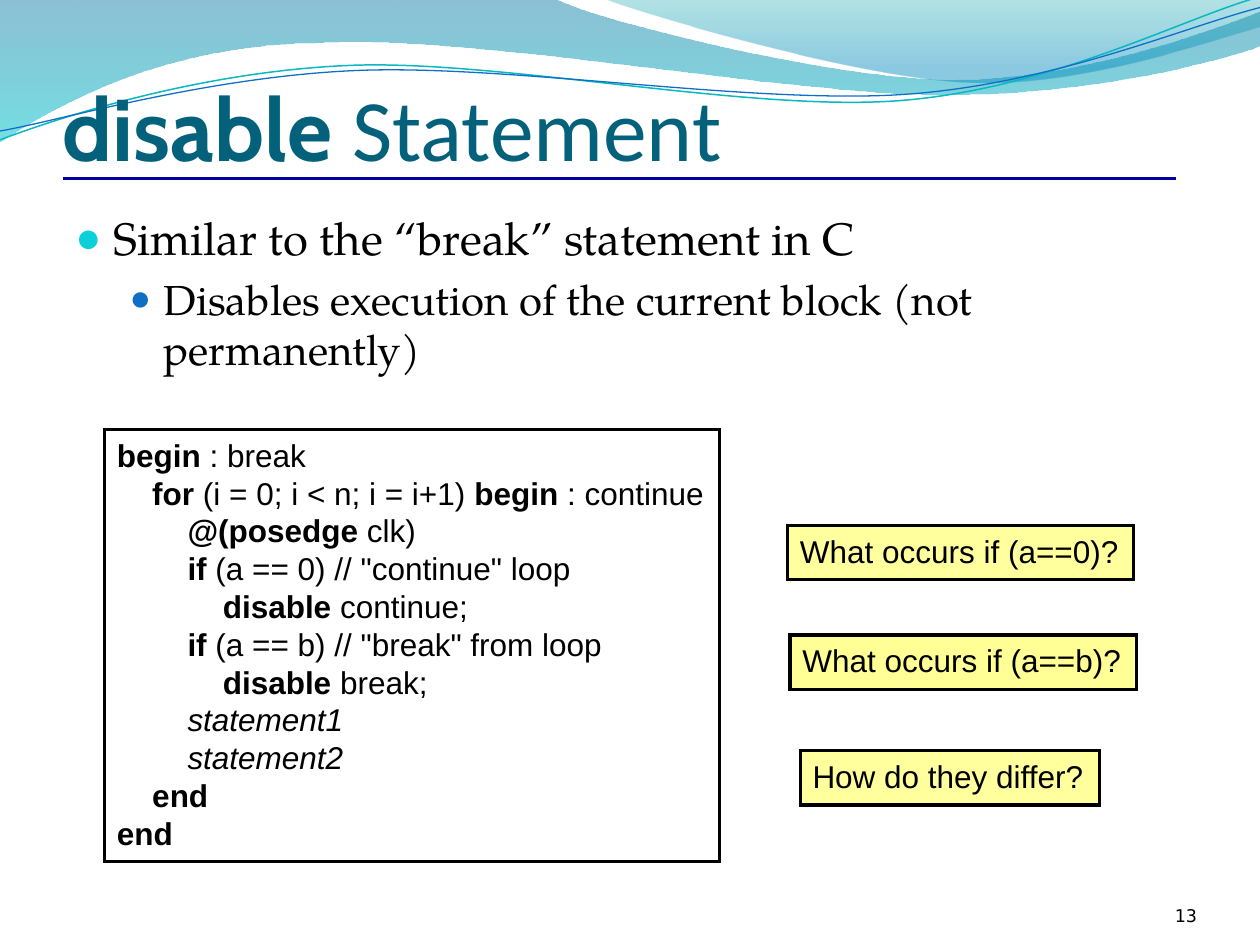
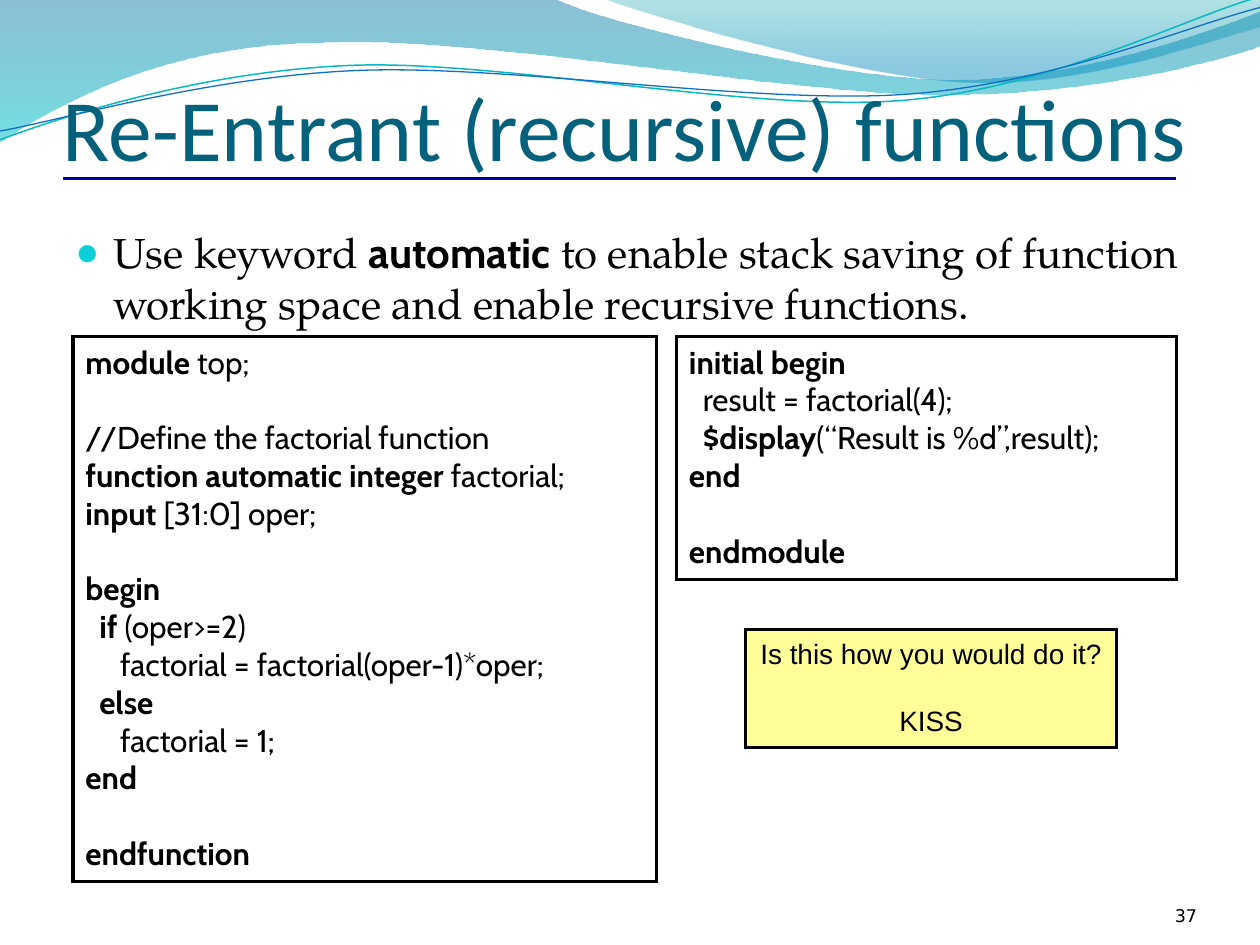
import pptx
import pptx.util
import pptx.dml.color
import pptx.enum.shapes
import pptx.enum.text
import pptx.oxml
import pptx.oxml.ns
from lxml import etree

Inches, Pt = pptx.util.Inches, pptx.util.Pt
ALIGN, ANCHOR = pptx.enum.text.PP_ALIGN, pptx.enum.text.MSO_ANCHOR
qn = pptx.oxml.ns.qn

# Shared style
BLACK, TITLE, RULE, YELLOW = "000000", "04617B", "0000A0", "FFFF00"
SERIF, SANS, CODE, HEAD, NUMBER = (
    "TeX Gyre Pagella", "Arial", "Cabin", "Calibri", "DejaVu Sans")
BULLETS = [  # left margin, hanging indent, colour, size in percent
    (0.3, 0.3, "0BD0D9", 95),
    (0.7, 0.27, "0F6FC6", 85),
]

# Waves at the top: start point, then cubic curves (6 numbers) or lines (2)
BANDS = [
    {"stops": [(0, "0074A1", 45), (1, "00C6CF", 55)], "start": (0, -0.01),
     "steps": [(4.4, -0.01), (4.76, 0.17, 6.64, 0.63, 7.58, 0.63),
               (8.53, 0.63, 9.58, 0.26, 10, 0.09), (10.01, 0.36),
               (9.83, 0.44, 8.7, 0.76, 7.46, 0.75),
               (6.22, 0.75, 3.82, 0.28, 2.57, 0.34),
               (1.29, 0.35, 0.46, 0.83, -0.01, 1.13), (0, -0.01)]},
    {"stops": [(0, "00A1A9", 30), (0.8, "008BBF", 45)], "start": (4.79, -0.01),
     "steps": [(5.09, 0.11, 6.82, 0.62, 7.69, 0.65),
               (8.56, 0.69, 9.61, 0.32, 10, 0.21), (10, 0), (4.79, -0.01)]},
    {"line": ("0AB8BF", 0.85), "start": (0, 1.11),
     "steps": [(0.48, 0.93, 1.58, 0.57, 2.77, 0.52),
               (3.95, 0.47, 5.93, 0.89, 7.13, 0.8),
               (8.33, 0.71, 9.38, 0.15, 9.98, -0.02)]},
    {"line": ("0F6FC6", 0.75), "start": (0, 1.04),
     "steps": [(0.47, 0.96, 1.64, 0.61, 2.83, 0.56),
               (4.03, 0.51, 5.97, 0.83, 7.17, 0.75),
               (8.36, 0.67, 9.41, 0.21, 10, 0.06)]},
]

# Content: "|" switches bold on and off, a leading "~" sets italics.
# Code lines are (indent level, text); None leaves one line free.
SLIDES = [
    {"title": "|disable| Statement", "title_bold": CODE, "number": "13",
     "body_at": (0.5, 1.62, 9, 1.08),
     "body": [(0, 26, "Similar to the “break” statement in C"),
              (1, 24, "Disables execution of the current block "
                      "(not permanently)")],
     "boxes": [
         {"at": (0.83, 3.41, 4.88, 3.43), "font": SANS, "tab": 0.28, "lines": [
             (0, "|begin |: break"),
             (1, "|for |(i = 0; i < n; i = i+1) |begin |: continue"),
             (2, "|@(posedge |clk)"),
             (2, "|if |(a == 0) // \"continue\" loop"),
             (3, "|disable |continue;"),
             (2, "|if |(a == b) // \"break\" from loop"),
             (3, "|disable |break;"),
             (2, "~statement1"),
             (2, "~statement2"),
             (1, "|end"),
             (0, "|end")]},
         {"at": (6.25, 4.17, 2.75, 0.43), "fill": (YELLOW, 38),
          "lines": [(0, "What occurs if (a==0)?")]},
         {"at": (6.27, 5.04, 2.75, 0.43), "fill": (YELLOW, 41),
          "lines": [(0, "What occurs if (a==b)?")]},
         {"at": (6.35, 5.96, 2.38, 0.43), "fill": (YELLOW, 38),
          "lines": [(0, "How do they differ?")]}]},
    {"title": "Re-Entrant (recursive) functions", "number": "37",
     "body_at": (0.5, 1.75, 9, 0.92),
     "body": [(0, 24, "Use keyword |automatic| to enable stack saving of "
                      "function working space and enable recursive "
                      "functions.")],
     "boxes": [
         {"at": (0.58, 2.67, 4.63, 4.33), "font": CODE, "tab": 0.11, "lines": [
             (0, "|module| top;"),
             None,
             (0, "//Define the factorial function"),
             (0, "|function automatic integer| factorial;"),
             (0, "|input| [31:0] oper;"),
             None,
             (0, "|begin"),
             (1, "|if| (oper>=2)"),
             (2.5, "factorial = factorial(oper-1)*oper;"),
             (1, "|else"),
             (2.5, "factorial = 1;"),
             (0, "|end"),
             None,
             (0, "|endfunction")]},
         {"at": (5.37, 2.67, 3.97, 1.93), "font": CODE, "tab": 0.11, "lines": [
             (0, "|initial begin"),
             (1, "result = factorial(4);"),
             (1, "|$display|(“Result is %d”,result);"),
             (0, "|end"),
             None,
             (0, "|endmodule")]},
         {"at": (5.92, 5, 2.94, 0.93), "fill": ("FFFF99", 100), "size": 16,
          "align": ALIGN.CENTER,
          "lines": [(0, "Is this how you would do it?"), None, (0, "KISS")]}]},
]


def rgb(color):
    return pptx.dml.color.RGBColor.from_string(color)


def sub(parent, tag, **attrs):
    return etree.SubElement(parent, qn(tag), attrs)


def set_alpha(parent, percent):
    """Make the colour inside a fill or gradient stop partly transparent."""
    if percent < 100:
        clr = parent.find(".//" + qn("a:srgbClr"))
        sub(clr, "a:alpha", val=str(percent * 1000))


def add_runs(p, text, font, size, color=BLACK, bold_font=None):
    italic = text.startswith("~")
    for i, part in enumerate(text.lstrip("~").split("|")):
        if part:
            r = p.add_run()
            r.text = part
            r.font.size = Pt(size)
            r.font.bold = i % 2 == 1
            r.font.italic = italic
            r.font.name = bold_font if bold_font and i % 2 else font
            r.font.color.rgb = rgb(color)


def paragraphs(tf):
    """Yield the first paragraph of a frame, then new ones."""
    yield tf.paragraphs[0]
    while True:
        yield tf.add_paragraph()


def text_frame(s, at, anchor=ANCHOR.TOP, insets=None):
    tf = s.shapes.add_textbox(*map(Inches, at)).text_frame
    tf.word_wrap = True
    tf.vertical_anchor = anchor
    if insets:
        (tf.margin_left, tf.margin_top,
         tf.margin_right, tf.margin_bottom) = map(Inches, insets)
    return tf


def add_curves(s, start, steps, close):
    """Build a freeform through the end points, then bend its segments."""
    fb = s.shapes.build_freeform(*map(Inches, start))
    fb.add_line_segments([tuple(map(Inches, step[-2:])) for step in steps],
                         close=close)
    sp = fb.convert_to_shape()
    origin = (sp.left, sp.top)
    segments = sp._element.spPr.findall(".//" + qn("a:lnTo"))
    for seg, step in zip(segments, steps):
        if len(step) == 6:
            curve = etree.Element(qn("a:cubicBezTo"))
            for i in (0, 2, 4):
                x, y = (Inches(v) - o for v, o in zip(step[i:i + 2], origin))
                sub(curve, "a:pt", x=str(x), y=str(y))
            seg.getparent().replace(seg, curve)
    return sp


def add_band(s, band):
    sp = add_curves(s, band["start"], band["steps"], "stops" in band)
    sp.shadow.inherit = False
    if "line" in band:
        color, width = band["line"]
        sp.fill.background()
        sp.line.color.rgb = rgb(color)
        sp.line.width = Pt(width)
        return
    sp.line.fill.background()
    sp.fill.gradient()
    sp.fill.gradient_angle = 270
    stops = sp.fill.gradient_stops
    gs = sp._element.spPr.findall(".//" + qn("a:gs"))
    for stop, el, (pos, color, alpha) in zip(stops, gs, band["stops"]):
        stop.position = pos
        stop.color.rgb = rgb(color)
        set_alpha(el, alpha)


def add_rule(s):
    line = s.shapes.add_connector(pptx.enum.shapes.MSO_CONNECTOR.STRAIGHT,
                                  *map(Inches, (0.5, 1.42, 9.33, 1.42)))
    line.line.color.rgb = rgb(RULE)
    line.line.width = Pt(1.75)
    sub(line._element.spPr, "a:effectLst")


def add_body(s, at, items):
    tf = text_frame(s, at)
    for (level, size, text), p in zip(items, paragraphs(tf)):
        left, hang, color, percent = BULLETS[level]
        add_runs(p, text, SERIF, size, bold_font=CODE)
        p.level = level
        p.space_before = Pt(size * 0.2)
        pPr = p._p.get_or_add_pPr()
        pPr.set("marL", str(Inches(left)))
        pPr.set("indent", str(-Inches(hang)))
        sub(sub(pPr, "a:buClr"), "a:srgbClr", val=color)
        sub(pPr, "a:buSzPct", val=str(percent * 1000))
        sub(pPr, "a:buFont", typeface=SANS)
        sub(pPr, "a:buChar", char="●")


def add_box(s, at, lines, font=SANS, size=18, tab=0, fill=None,
            align=ALIGN.LEFT):
    sp = s.shapes.add_shape(pptx.enum.shapes.MSO_SHAPE.RECTANGLE,
                            *map(Inches, at))
    sp.shadow.inherit = False
    sp.line.color.rgb = rgb(BLACK)
    sp.line.width = Pt(1.75)
    sub(sp._element.spPr.find(qn("a:ln")), "a:miter", lim="800000")
    if fill:
        sp.fill.solid()
        sp.fill.fore_color.rgb = rgb(fill[0])
        set_alpha(sp._element.spPr, fill[1])
    else:
        sp.fill.background()
    tf = sp.text_frame
    tf.word_wrap = False
    tf.auto_size = pptx.enum.text.MSO_AUTO_SIZE.SHAPE_TO_FIT_TEXT
    tf.vertical_anchor = ANCHOR.TOP
    new, gap = paragraphs(tf), 0
    for line in lines:
        if line is None:
            gap = size * 1.2
            continue
        p = next(new)
        p.alignment = align
        p.space_before = Pt(gap)
        p._p.get_or_add_pPr().set("marL", str(Inches(line[0] * tab)))
        add_runs(p, line[1], font, size)
        gap = 0


prs = pptx.Presentation()
prs.slide_width, prs.slide_height = Inches(10), Inches(7.5)

for data in SLIDES:
    s = prs.slides.add_slide(prs.slide_layouts[6])
    # Shared decoration
    for band in BANDS:
        add_band(s, band)
    add_rule(s)
    # Title, body and slide number
    tf = text_frame(s, (0.5, 0.17, 9, 1.25), ANCHOR.BOTTOM, (0, 0.05, 0, 0))
    add_runs(tf.paragraphs[0], data["title"], HEAD, 50, TITLE,
             data.get("title_bold"))
    add_body(s, data["body_at"], data["body"])
    tf = text_frame(s, (8.67, 6.95, 0.83, 0.4), ANCHOR.BOTTOM, (0, 0, 0, 0))
    tf.paragraphs[0].alignment = ALIGN.RIGHT
    add_runs(tf.paragraphs[0], data["number"], NUMBER, 10)
    # Code and question boxes
    for box in data["boxes"]:
        add_box(s, **box)

prs.save("out.pptx")
